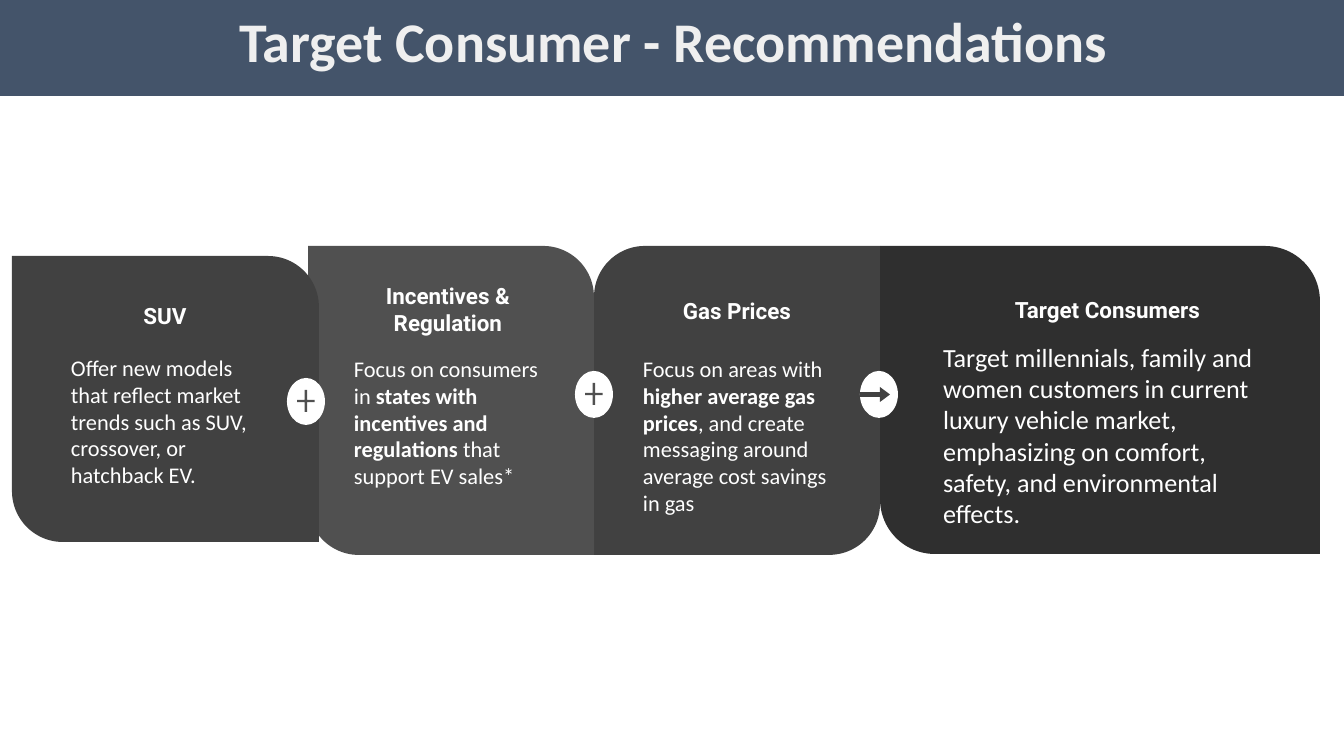
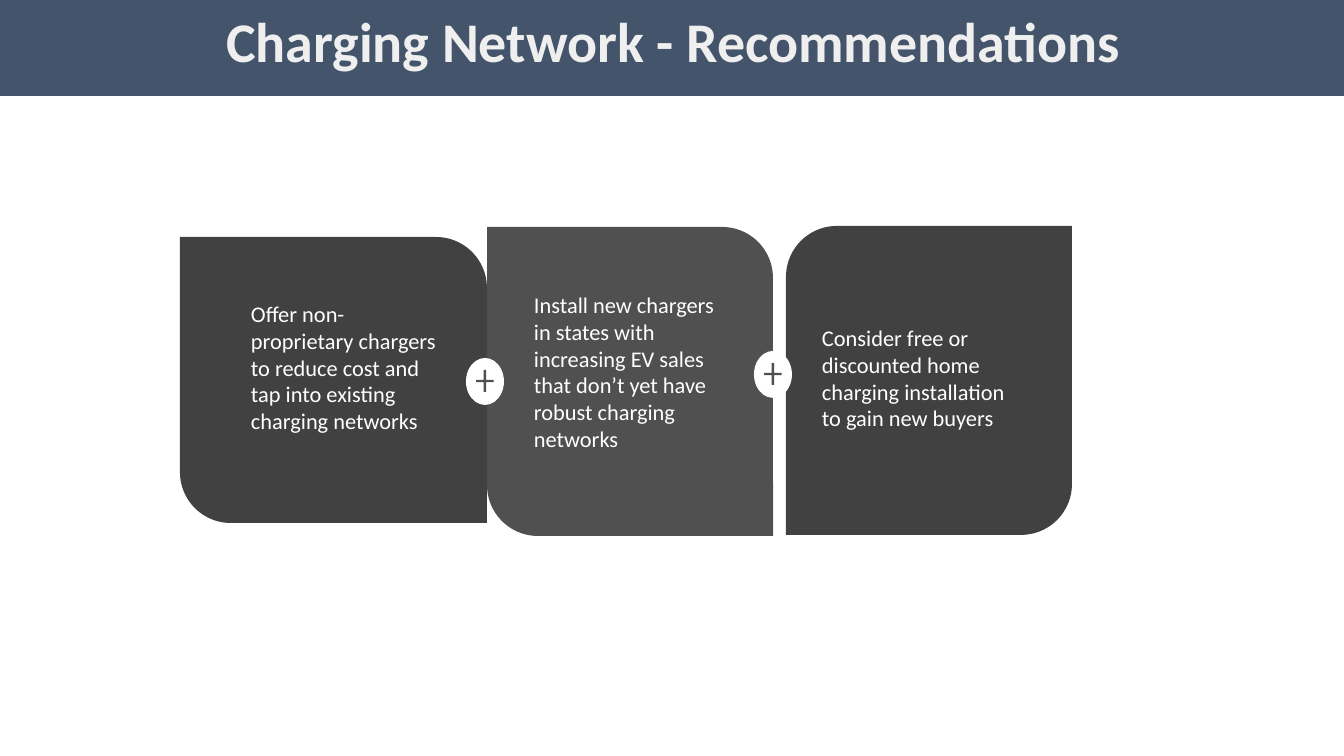
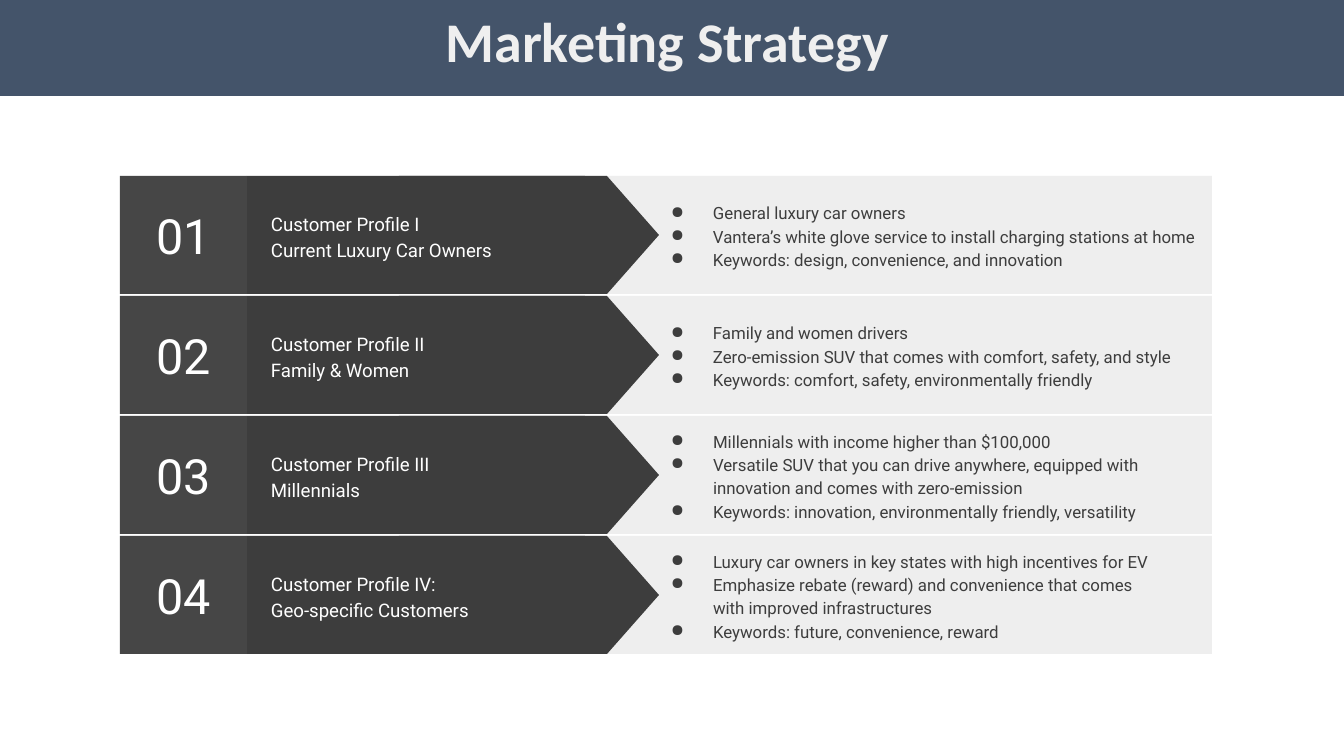
import pptx
import pptx.dml.color
import pptx.enum.shapes
import pptx.enum.text
import pptx.oxml.ns
import pptx.util
from lxml import etree

SHAPE = pptx.enum.shapes.MSO_SHAPE
ALIGN = pptx.enum.text.PP_ALIGN
ANCHOR = pptx.enum.text.MSO_ANCHOR


class Theme:
    """Colours, fonts and type sizes shared by all slides."""
    band, white = "44546A", "FFFFFF"
    leaf, leaf_light, leaf_dark = "414141", "505050", "2F2F2F"
    number_fill, profile_fill, detail_fill = "464646", "3D3D3D", "EEEEEE"
    title = {"name": "Calibri", "size": 30, "bold": True, "color": "EFEFEF"}
    heading = {"name": "Roboto", "size": 12, "bold": True, "color": white}
    body = {"name": "Calibri", "size": 12, "bold": False, "color": white}
    result = {**body, "size": 14}
    number = {"name": "Roboto", "size": 26, "bold": False, "color": white}
    profile = {**number, "size": 10}
    detail = {**number, "size": 9, "color": profile_fill}


def px(length):
    return round(length * 914400 / 134.4)


# Basic elements

def add_shape(page, kind, left, top, width, height, fill, adjust=()):
    shape = page.shapes.add_shape(kind, px(left), px(top), px(width), px(height))
    shape.shadow.inherit = False
    shape.fill.solid()
    shape.fill.fore_color.rgb = pptx.dml.color.RGBColor.from_string(fill)
    shape.line.fill.background()
    for index, value in enumerate(adjust):
        shape.adjustments[index] = value
    return shape


def add_bullet(para):
    properties = para._p.get_or_add_pPr()
    properties.set("marL", str(px(67)))
    properties.set("indent", str(px(-42)))
    color = etree.SubElement(properties, pptx.oxml.ns.qn("a:buClr"))
    etree.SubElement(color, pptx.oxml.ns.qn("a:srgbClr"), val=Theme.profile_fill)
    etree.SubElement(properties, pptx.oxml.ns.qn("a:buChar"), char="●")


def format_font(font, style):
    values = {**style, "size": pptx.util.Pt(style["size"])}
    font.color.rgb = pptx.dml.color.RGBColor.from_string(values.pop("color"))
    for name, value in values.items():
        setattr(font, name, value)


def write(shape, lines, style, align=ALIGN.LEFT, anchor=ANCHOR.TOP,
          spacing=1.0, bullets=False, margin=13):
    """Fill a shape with lines; text between * marks switches to bold."""
    frame = shape.text_frame
    settings = {"word_wrap": True, "vertical_anchor": anchor,
                "margin_left": px(13), "margin_right": px(13),
                "margin_top": px(margin), "margin_bottom": px(margin)}
    for name, value in settings.items():
        setattr(frame, name, value)
    for index, line in enumerate(lines):
        para = frame.add_paragraph() if index else frame.paragraphs[0]
        para.alignment = align
        para.line_spacing = spacing
        if bullets:
            add_bullet(para)
        spans = [line] if isinstance(line, str) else line
        for position, text in enumerate(spans):
            span = para.add_run()
            span.text = text
            # Every second span of a line is emphasised
            format_font(span.font, {**style, "bold": style["bold"] or position % 2 == 1})


def add_text(page, left, top, width, height, lines, style, **layout):
    box = page.shapes.add_textbox(px(left), px(top), px(width), px(height))
    write(box, lines, style, **layout)


# Parts of these slides

def add_page(deck, title):
    page = deck.slides.add_slide(deck.slide_layouts[6])
    band = add_shape(page, SHAPE.RECTANGLE, 0, -7, 1347, 103, Theme.band)
    write(band, [title], Theme.title, align=ALIGN.CENTER, anchor=ANCHOR.MIDDLE,
          spacing=0.9, margin=7)
    return page


def add_leaf(page, left, top, width, height, fill, mirrored=False):
    rounding = (0.178, 0) if mirrored else (0, 0.178)
    add_shape(page, SHAPE.ROUND_2_DIAG_RECTANGLE, left, top, width, height, fill, rounding)


def add_heading(page, left, top, width, text, anchor=ANCHOR.MIDDLE):
    add_text(page, left, top, width, 84, [text], Theme.heading,
             align=ALIGN.CENTER, anchor=anchor)


def add_body(page, left, top, line, width=214, style=Theme.body):
    add_text(page, left, top, width, 120, [line], style)


def add_disc(page, left, top):
    add_shape(page, SHAPE.OVAL, left, top, 38, 47, Theme.white)


def add_plus(page, left, top):
    add_disc(page, left, top)
    add_shape(page, SHAPE.MATH_PLUS, left + 7, top + 8, 24, 30, Theme.leaf_light, (0.099,))


def add_profile(page, top, number, names, details, detail_width):
    height = 118
    add_shape(page, SHAPE.RECTANGLE, 512, top, 700, height, Theme.detail_fill)
    add_shape(page, SHAPE.RECTANGLE, 247, top, 338, height, Theme.profile_fill)
    # Turned a quarter so that it points right
    length = 260
    pointer = add_shape(page, SHAPE.FLOWCHART_OFFPAGE_CONNECTOR, 470,
                        top + (height - length) / 2, height, length, Theme.profile_fill)
    pointer.rotation = 270
    add_text(page, 258, top + 14, 356, 91, names, Theme.profile,
             anchor=ANCHOR.MIDDLE, spacing=1.15)
    tile = add_shape(page, SHAPE.RECTANGLE, 120, top, 127, height, Theme.number_fill)
    write(tile, [f"{number:02}"], Theme.number, align=ALIGN.CENTER, anchor=ANCHOR.MIDDLE)
    add_text(page, 633, top, detail_width, height, details, Theme.detail,
             anchor=ANCHOR.MIDDLE, spacing=1.15, bullets=True)


# Slides

def build_consumer_page(deck):
    page = add_page(deck, "Target Consumer - Recommendations")

    add_leaf(page, 594, 246, 286, 309, Theme.leaf, mirrored=True)
    add_heading(page, 630, 269, 214, "Gas Prices")
    add_body(page, 630, 342, ["Focus on areas with ", "higher average gas prices",
                              ", and create messaging around average cost savings in gas"])

    add_leaf(page, 308, 246, 286, 309, Theme.leaf_light)
    add_heading(page, 341, 269, 214, "Incentives & Regulation", anchor=ANCHOR.TOP)
    add_body(page, 341, 342, ["Focus on consumers in ",
                              "states with incentives and regulations",
                              " that support EV sales*"])

    add_leaf(page, 880, 246, 440, 308, Theme.leaf_dark)
    add_heading(page, 930, 268, 355, "Target Consumers")
    add_body(page, 930, 328, "Target millennials, family and women customers in current "
             "luxury vehicle market, emphasizing on comfort, safety, and environmental "
             "effects.", width=355, style=Theme.result)

    add_disc(page, 860, 371)
    add_shape(page, SHAPE.RIGHT_ARROW, 860, 387, 30, 15, Theme.leaf, (0.32, 0.67))
    add_plus(page, 575, 371)

    add_leaf(page, 12, 256, 307, 286, Theme.leaf)
    add_heading(page, 58, 274, 214, "SUV")
    add_body(page, 58, 341, "Offer new models that reflect market trends such as SUV, "
             "crossover, or hatchback EV.")
    add_plus(page, 287, 378)


def build_charging_page(deck):
    page = add_page(deck, "Charging Network - Recommendations")

    add_leaf(page, 786, 226, 286, 309, Theme.leaf, mirrored=True)
    add_body(page, 809, 311, "Consider free or discounted home charging installation "
             "to gain new buyers")

    add_leaf(page, 487, 227, 286, 309, Theme.leaf_light)
    add_body(page, 521, 278, "Install new chargers in states with increasing EV sales "
             "that don’t yet have robust charging networks")
    add_plus(page, 754, 351)

    add_leaf(page, 180, 237, 307, 286, Theme.leaf)
    add_body(page, 238, 287, "Offer non-proprietary chargers to reduce cost and tap into "
             "existing charging networks")
    add_plus(page, 466, 358)


def build_strategy_page(deck):
    page = add_page(deck, "Marketing Strategy ")
    profiles = [
        (["Customer Profile I", "Current Luxury Car Owners"],
         ["General luxury car owners",
          "Vantera’s white glove service to install charging stations at home",
          "Keywords: design, convenience, and innovation"], 579),
        (["Customer Profile II", "Family & Women"],
         ["Family and women drivers",
          "Zero-emission SUV that comes with comfort, safety, and style",
          "Keywords: comfort, safety, environmentally friendly"], 574),
        (["Customer Profile III", "Millennials"],
         ["Millennials with income higher than $100,000",
          "Versatile SUV that you can drive anywhere, equipped with innovation and "
          "comes with zero-emission",
          "Keywords: innovation, environmentally friendly, versatility"], 544),
        (["Customer Profile IV:", "Geo-specific Customers"],
         ["Luxury car owners in key states with high incentives for EV",
          "Emphasize rebate (reward) and convenience that comes with improved "
          "infrastructures",
          "Keywords: future, convenience, reward"], 544),
    ]
    for index, profile in enumerate(profiles):
        add_profile(page, 176 + 120 * index, index + 1, *profile)


def main():
    deck = pptx.Presentation()
    deck.slide_width, deck.slide_height = px(1344), px(756)
    build_consumer_page(deck)
    build_charging_page(deck)
    build_strategy_page(deck)
    deck.save("out.pptx")


if __name__ == "__main__":
    main()
